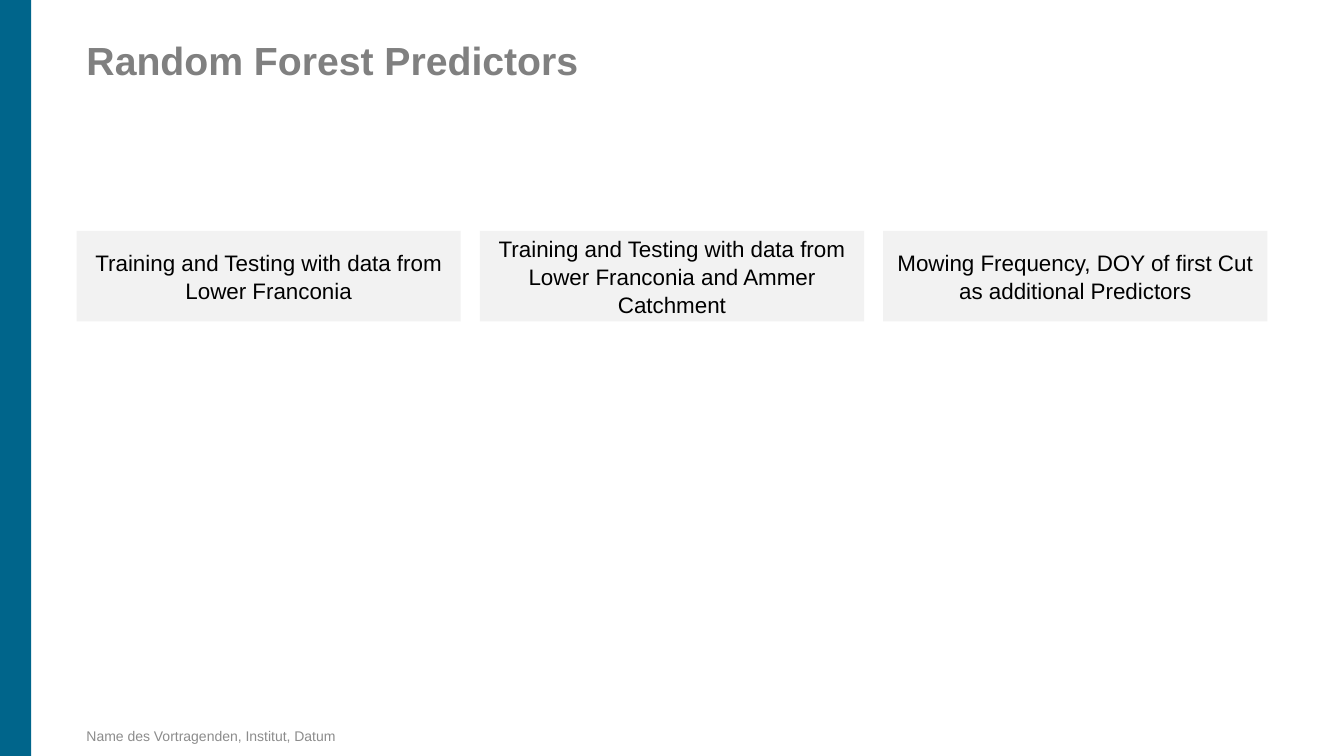
"""Build the Random Forest Predictors slide."""
import pptx
import pptx.dml.color
import pptx.enum.shapes
import pptx.enum.text
import pptx.util

Inches = pptx.util.Inches
ANCHOR = pptx.enum.text.MSO_ANCHOR
ALIGN = pptx.enum.text.PP_ALIGN

TITLE = "Random Forest Predictors"
SCENARIOS = [
    "Training and Testing with data from Lower Franconia",
    "Training and Testing with data from Lower Franconia and Ammer Catchment",
    "Mowing Frequency, DOY of first Cut as additional Predictors",
]
FOOTER = "Name des Vortragenden, Institut, Datum"

THEME = {
    "font": "Arial",
    "band": "00658B",
    "card": "F2F2F2",
    "title": ("808080", 28),
    "body": ("000000", 16),
    "footer": ("8C8C8C", 10),
}
SLIDE_WIDTH, SLIDE_HEIGHT = 13.33, 7.5
BAND_WIDTH = 0.31
MARGIN = 0.76
CARD_TOP, CARD_WIDTH, CARD_HEIGHT, CARD_STEP = 2.29, 3.81, 0.9, 4


def add_panel(slide, bounds, color):
    panel = slide.shapes.add_shape(
        pptx.enum.shapes.MSO_SHAPE.RECTANGLE, *map(Inches, bounds))
    panel.shadow.inherit = False
    panel.fill.solid()
    panel.fill.fore_color.rgb = pptx.dml.color.RGBColor.from_string(color)
    panel.line.fill.background()
    return panel


def write(holder, text, style, anchor, align, spacing=1.0, bold=False):
    color, size = THEME[style]
    frame = holder.text_frame
    frame.word_wrap = True
    frame.vertical_anchor = anchor
    paragraph = frame.paragraphs[0]
    paragraph.alignment = align
    paragraph.line_spacing = spacing
    run = paragraph.add_run()
    run.text = text
    run.font.name = THEME["font"]
    run.font.size = pptx.util.Pt(size)
    run.font.bold = bold
    run.font.color.rgb = pptx.dml.color.RGBColor.from_string(color)


def main():
    deck = pptx.Presentation()
    deck.slide_width, deck.slide_height = Inches(SLIDE_WIDTH), Inches(SLIDE_HEIGHT)
    slide = deck.slides.add_slide(deck.slide_layouts[6])

    add_panel(slide, (0, 0, BAND_WIDTH, SLIDE_HEIGHT), THEME["band"])

    title = slide.shapes.add_textbox(*map(Inches, (MARGIN, 0.36, 11, 1.08)))
    write(title, TITLE, "title", ANCHOR.TOP, ALIGN.LEFT, spacing=0.9, bold=True)

    for column, scenario in enumerate(SCENARIOS):
        left = MARGIN + column * CARD_STEP
        card = add_panel(slide, (left, CARD_TOP, CARD_WIDTH, CARD_HEIGHT), THEME["card"])
        write(card, scenario, "body", ANCHOR.MIDDLE, ALIGN.CENTER, spacing=1.05)

    footer = slide.shapes.add_textbox(*map(Inches, (MARGIN, 7.16, 4.5, 0.28)))
    write(footer, FOOTER, "footer", ANCHOR.MIDDLE, ALIGN.LEFT)

    deck.save("out.pptx")


if __name__ == "__main__":
    main()
